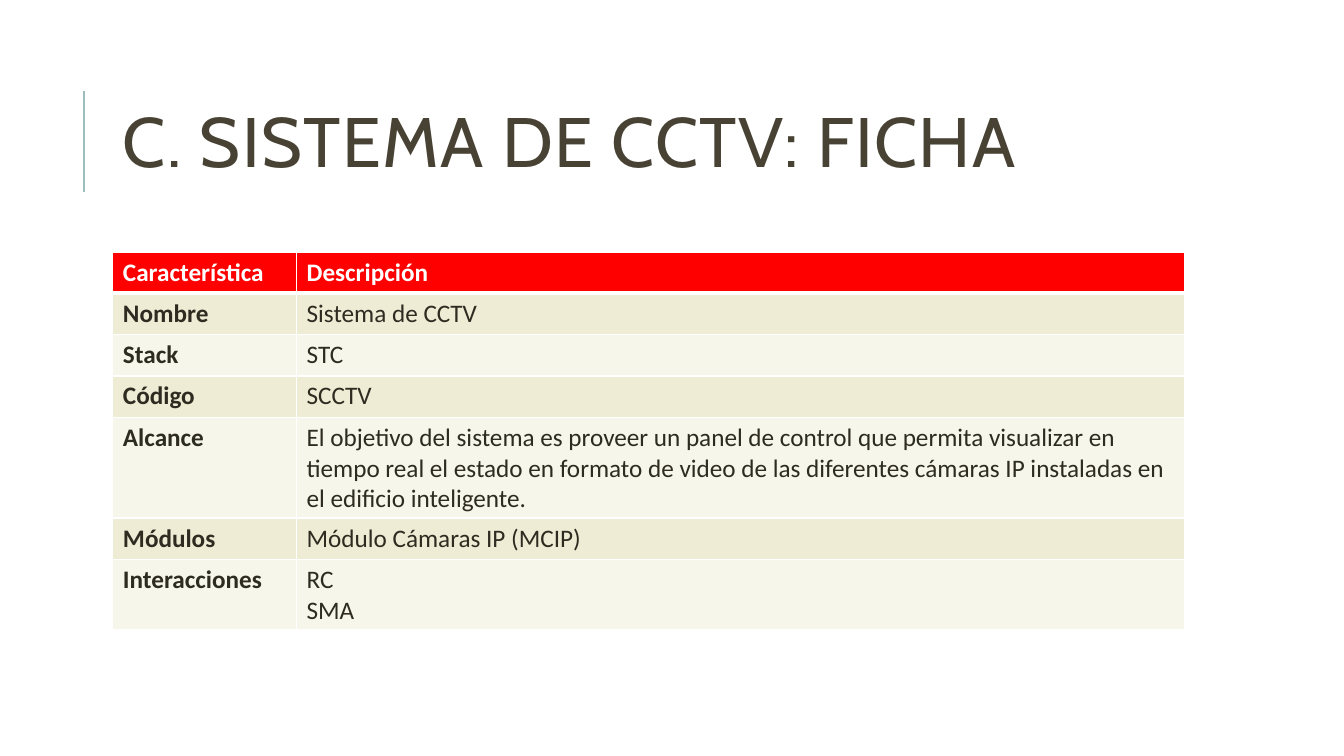
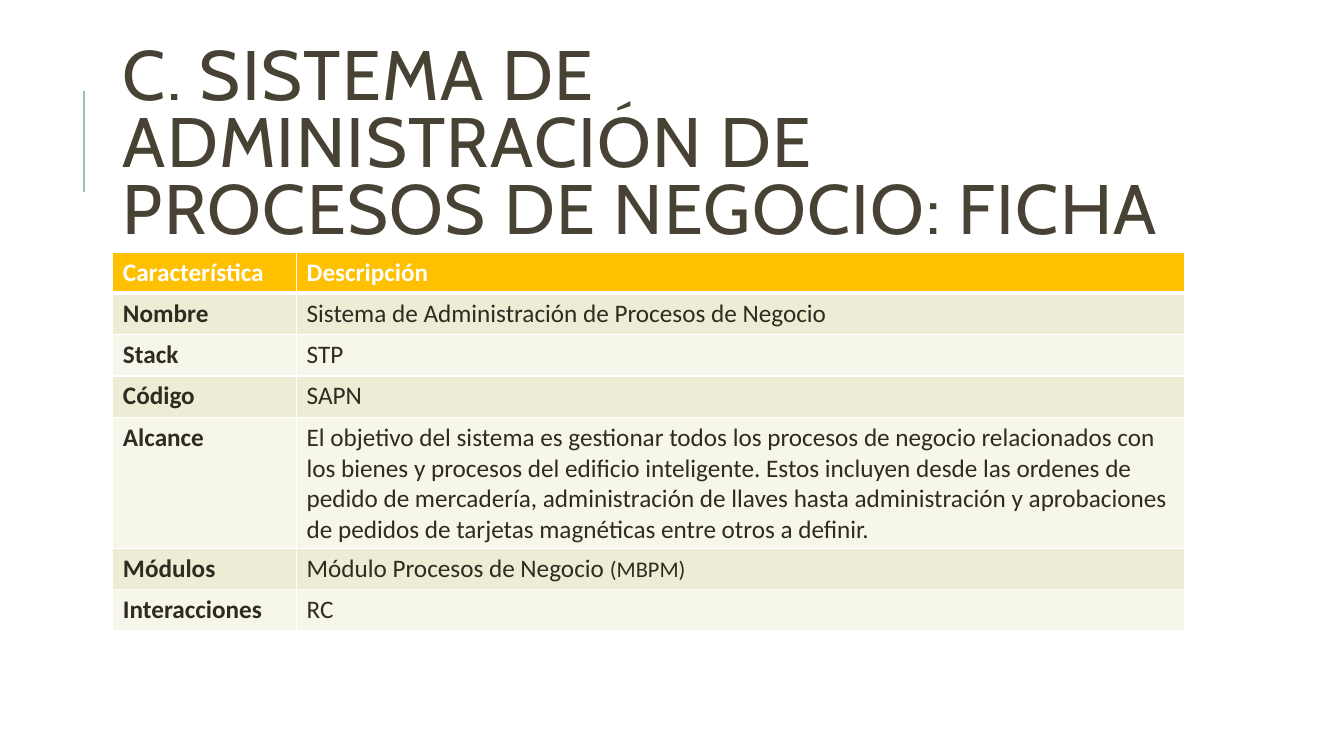
from dataclasses import dataclass

from lxml.etree import SubElement as add_element
from pptx import Presentation
from pptx.dml.color import RGBColor
from pptx.enum.shapes import MSO_CONNECTOR as Connector
from pptx.enum.text import MSO_ANCHOR as Anchor
from pptx.oxml.ns import qn
from pptx.util import Emu, Inches, Pt

SLIDE_WIDTH, SLIDE_HEIGHT = Inches(40 / 3), Inches(7.5)
GRID_COLUMNS, GRID_ROWS = 120, 75

COLORS = {
    "title": "474233",
    "rule": "9CBEBD",
    "text": "2E2B21",
    "white": "FFFFFF",
    "band_dark": "EEECD4",
    "band_light": "F7F6EB",
    "red": "FF0000",
    "amber": "FFC000",
}
TITLE_FONT, BODY_FONT = "Cabin", "Calibri"
TITLE_SIZE, BODY_SIZE, SMALL_SIZE = 50, 18, 16

CONTENT_LEFT, CONTENT_WIDTH = 10.08, 95.7
TITLE_TOP, TITLE_HEIGHT = 6.4, 16.4
RULE_LEFT, RULE_TOP, RULE_BOTTOM = 7.5, 9, 19
TABLE_TOP, TABLE_ROW_HEIGHT = 25, 4.1
LABEL_WIDTH = 16.4
HEADINGS = ("Característica", "Descripción")
LABELS = ("Nombre", "Stack", "Código", "Alcance", "Módulos", "Interacciones")


@dataclass(frozen=True)
class Description:
    text: str
    small_suffix: str = ""


@dataclass(frozen=True)
class SystemSheet:
    title: str
    accent: str
    descriptions: tuple[Description, ...]


SHEETS = (
    SystemSheet(
        "C. SISTEMA DE CCTV: FICHA",
        "red",
        (
            Description("Sistema de CCTV"),
            Description("STC"),
            Description("SCCTV"),
            Description(
                "El objetivo del sistema es proveer un panel de control que permita "
                "visualizar en tiempo real el estado en formato de video de las "
                "diferentes cámaras IP instaladas en el edificio inteligente."
            ),
            Description("Módulo Cámaras IP (MCIP)"),
            Description("RC\nSMA"),
        ),
    ),
    SystemSheet(
        "C. SISTEMA DE ADMINISTRACIÓN DE PROCESOS DE NEGOCIO: FICHA",
        "amber",
        (
            Description("Sistema de Administración de Procesos de Negocio"),
            Description("STP"),
            Description("SAPN"),
            Description(
                "El objetivo del sistema es gestionar todos los procesos de negocio "
                "relacionados con los bienes y procesos del edificio inteligente. "
                "Estos incluyen desde las ordenes de pedido de mercadería, "
                "administración de llaves hasta administración y aprobaciones de "
                "pedidos de tarjetas magnéticas entre otros a definir."
            ),
            Description("Módulo Procesos de Negocio ", "(MBPM)"),
            Description("RC"),
        ),
    ),
)


def across(columns: float) -> Emu:
    return Emu(round(SLIDE_WIDTH * columns / GRID_COLUMNS))


def down(rows: float) -> Emu:
    return Emu(round(SLIDE_HEIGHT * rows / GRID_ROWS))


def color(name: str) -> RGBColor:
    return RGBColor.from_string(COLORS[name])


def style_span(span, font: str, size: float, color_name: str, bold: bool = False) -> None:
    span.font.name = font
    span.font.size = Pt(size)
    span.font.bold = bold
    span.font.color.rgb = color(color_name)


def draw_rule(slide) -> None:
    rule = slide.shapes.add_connector(
        Connector.STRAIGHT,
        across(RULE_LEFT), down(RULE_BOTTOM), across(RULE_LEFT), down(RULE_TOP),
    )
    rule.line.color.rgb = color("rule")
    rule.line.width = Pt(1.5)
    add_element(rule._element.spPr, qn("a:effectLst"))


def draw_title(slide, title: str) -> None:
    box = slide.shapes.add_textbox(
        across(CONTENT_LEFT), down(TITLE_TOP), across(CONTENT_WIDTH), down(TITLE_HEIGHT)
    )
    frame = box.text_frame
    frame.word_wrap = True
    frame.vertical_anchor = Anchor.MIDDLE
    frame.text = title
    para = frame.paragraphs[0]
    para.line_spacing = 0.8
    span = para.runs[0]
    style_span(span, TITLE_FONT, TITLE_SIZE, "title")
    span.font._element.set("spc", "100")


def set_borders(cell, top: float, bottom: float) -> None:
    """Add white borders, widths in points; call before filling the cell."""
    properties = cell._tc.get_or_add_tcPr()
    for side, width in (("L", 1), ("R", 1), ("T", top), ("B", bottom)):
        border = add_element(properties, qn(f"a:ln{side}"), w=str(Pt(width)))
        fill = add_element(border, qn("a:solidFill"))
        add_element(fill, qn("a:srgbClr"), val=COLORS["white"])


def fill_cell(cell, content: Description, row: int, column: int, accent: str) -> None:
    is_header = row == 0
    set_borders(cell, top=3 if row == 1 else 1, bottom=3 if is_header else 1)
    band = "band_dark" if row % 2 else "band_light"
    cell.fill.solid()
    cell.fill.fore_color.rgb = color(accent if is_header else band)

    frame = cell.text_frame
    frame.text = content.text
    bold = is_header or column == 0
    text_color = "white" if is_header else "text"
    for para in frame.paragraphs:
        style_span(para.runs[0], BODY_FONT, BODY_SIZE, text_color, bold)
    if content.small_suffix:
        span = frame.paragraphs[-1].add_run()
        span.text = content.small_suffix
        style_span(span, BODY_FONT, SMALL_SIZE, text_color, bold)


def draw_table(slide, sheet: SystemSheet) -> None:
    headings = tuple(Description(heading) for heading in HEADINGS)
    labels = (Description(label) for label in LABELS)
    rows = [headings, *zip(labels, sheet.descriptions)]
    table = slide.shapes.add_table(
        len(rows), len(HEADINGS),
        across(CONTENT_LEFT), down(TABLE_TOP),
        across(CONTENT_WIDTH), down(TABLE_ROW_HEIGHT * len(rows)),
    ).table
    table.horz_banding = False
    table.columns[0].width = across(LABEL_WIDTH)
    table.columns[1].width = across(CONTENT_WIDTH - LABEL_WIDTH)
    for row, contents in enumerate(rows):
        table.rows[row].height = down(TABLE_ROW_HEIGHT)
        for column, content in enumerate(contents):
            fill_cell(table.cell(row, column), content, row, column, sheet.accent)


def main() -> None:
    deck = Presentation()
    deck.slide_width, deck.slide_height = SLIDE_WIDTH, SLIDE_HEIGHT
    blank_layout = deck.slide_layouts[6]
    for sheet in SHEETS:
        slide = deck.slides.add_slide(blank_layout)
        draw_rule(slide)
        draw_title(slide, sheet.title)
        draw_table(slide, sheet)
    deck.save("out.pptx")


if __name__ == "__main__":
    main()
